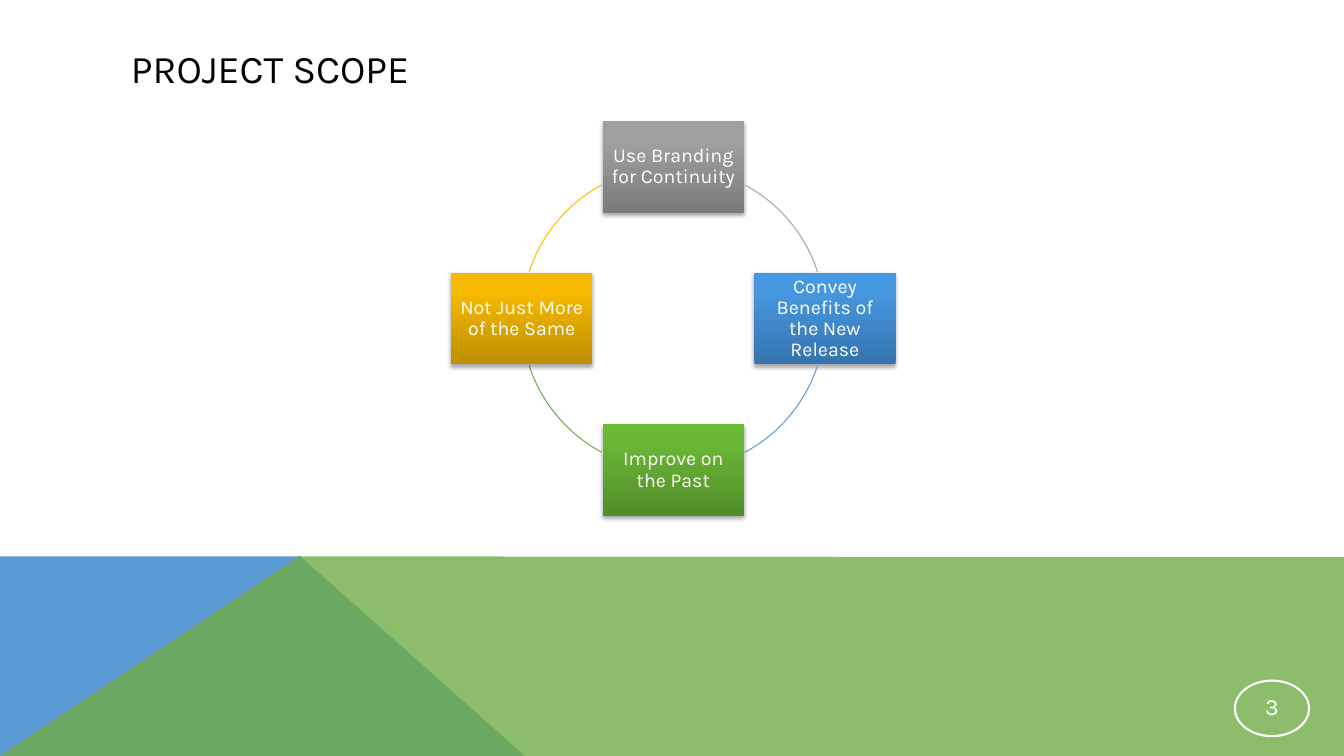
from lxml import etree
from pptx import Presentation
from pptx import util as u
from pptx.dml.color import RGBColor
from pptx.enum import shapes, text
from pptx.oxml import parse_xml
from pptx.oxml.ns import nsdecls, qn

Cm = u.Cm


def rgb(value):
    return RGBColor.from_string(value)


def write(sp, words, size, color, align, inset):
    """Set one centred-height paragraph in a shape or placeholder."""
    tf = sp.text_frame
    margins = {f"margin_{side}": Cm(inset[i % 2])
               for i, side in enumerate(("left", "top", "right", "bottom"))}
    frame = {"word_wrap": True, "auto_size": text.MSO_AUTO_SIZE.NONE,
             "vertical_anchor": text.MSO_ANCHOR.MIDDLE, **margins}
    for name, value in frame.items():
        setattr(tf, name, value)
    p = tf.paragraphs[0]
    p.alignment, p.line_spacing = align, 0.9
    r = p.add_run()
    r.text = words
    for name, value in {"name": "Karla", "size": u.Pt(size), "bold": False}.items():
        setattr(r.font, name, value)
    r.font.color.rgb = rgb(color)


prs = Presentation()
prs.slide_width, prs.slide_height = Cm(33.87), Cm(19.05)
s = prs.slides.add_slide(prs.slide_layouts[5])

# Footer bands
bands = [
    ("5B9BD5", 100, [(0, 19.05), (0, 14.02), (7.57, 14.02), (13.23, 19.05)]),
    ("70AD47", 80, [(0, 19.05), (7.54, 14.02), (33.87, 14.04), (33.87, 19.05)]),
]
for color, opacity, corners in bands:
    points = [(Cm(x), Cm(y)) for x, y in corners]
    fb = s.shapes.build_freeform(*points[0])
    fb.add_line_segments(points[1:], close=True)
    sp = fb.convert_to_shape()
    sp.shadow.inherit = False
    sp.fill.solid()
    sp.fill.fore_color.rgb = rgb(color)
    sp.line.fill.background()
    clr = sp._element.spPr.find(".//" + qn("a:srgbClr"))
    etree.SubElement(clr, qn("a:alpha"), val=str(opacity * 1000))

# Title
title = s.shapes.title
for name, value in {"left": 3.05, "top": 1.02, "width": 27.86, "height": 1.52}.items():
    setattr(title, name, Cm(value))
write(title, "PROJECT SCOPE", 28, "000000", text.PP_ALIGN.LEFT, (0.25, 0.13))

# Cycle: a box at each quarter turn, an arc leading to the next one
center_x, center_y, radius = 16.97, 8.03, 3.82
box_w, box_h = 3.56, 2.31
arc_sweep = 43.8
steps = [
    ("Use Branding for Continuity", "A5A5A5", ("7B7B7B", "A0A0A0", "A1A1A1"), 0, -1),
    ("Convey Benefits of the New Release", "5B9BD5", ("3674AD", "4697E0", "4498E4"), 1, 0),
    ("Improve on the Past", "70AD47", ("518D2A", "6AB636", "6ABA34"), 0, 1),
    ("Not Just More of the Same", "FFC000", ("BE8F00", "F7BA00", "F8BB00"), -1, 0),
]
for i, (words, arc_color, shades, dx, dy) in enumerate(steps):
    box = s.shapes.add_shape(
        shapes.MSO_SHAPE.RECTANGLE,
        Cm(center_x + dx * radius - box_w / 2), Cm(center_y + dy * radius - box_h / 2),
        Cm(box_w), Cm(box_h))
    box.line.fill.background()
    box.shadow.inherit = False
    box.fill.gradient()
    box.fill.gradient_angle = 90
    spPr = box._element.spPr
    stops = spPr.find(".//" + qn("a:gsLst"))
    for old in list(stops):
        stops.remove(old)
    for pos, shade in zip((0, 80, 100), shades):
        gs = etree.SubElement(stops, qn("a:gs"), pos=str(pos * 1000))
        etree.SubElement(gs, qn("a:srgbClr"), val=shade)
    spPr.find(qn("a:effectLst")).append(parse_xml(
        f'<a:outerShdw {nsdecls("a")} blurRad="{u.Pt(3.1)}" dist="{u.Pt(1.8)}" '
        'dir="5400000" algn="ctr" rotWithShape="0">'
        '<a:srgbClr val="000000"><a:alpha val="35000"/></a:srgbClr></a:outerShdw>'))
    write(box, words, 14, "FFFFFF", text.PP_ALIGN.CENTER, (0.15, 0.15))

    arc = s.shapes.add_shape(
        shapes.MSO_SHAPE.ARC, Cm(center_x - radius), Cm(center_y - radius),
        Cm(2 * radius), Cm(2 * radius))
    arc.shadow.inherit = False
    arc.fill.background()
    arc.line.color.rgb, arc.line.width = rgb(arc_color), u.Pt(0.75)
    start = (270 + 90 * i + (18 if i % 2 else 28.2)) % 360
    for k, angle in enumerate((start, start + arc_sweep)):
        arc.adjustments[k] = angle * 0.6  # 60000 units a degree, scaled by 100000

# Page number
badge = s.shapes.add_shape(
    shapes.MSO_SHAPE.OVAL, Cm(31.12), Cm(17.15), Cm(1.87), Cm(1.4))
badge.shadow.inherit = False
badge.fill.background()
badge.line.color.rgb, badge.line.width = rgb("FFFFFF"), u.Pt(1.5)
write(badge, "3", 16.5, "FFFFFF", text.PP_ALIGN.CENTER, (0.03, 0.03))

prs.save("out.pptx")
